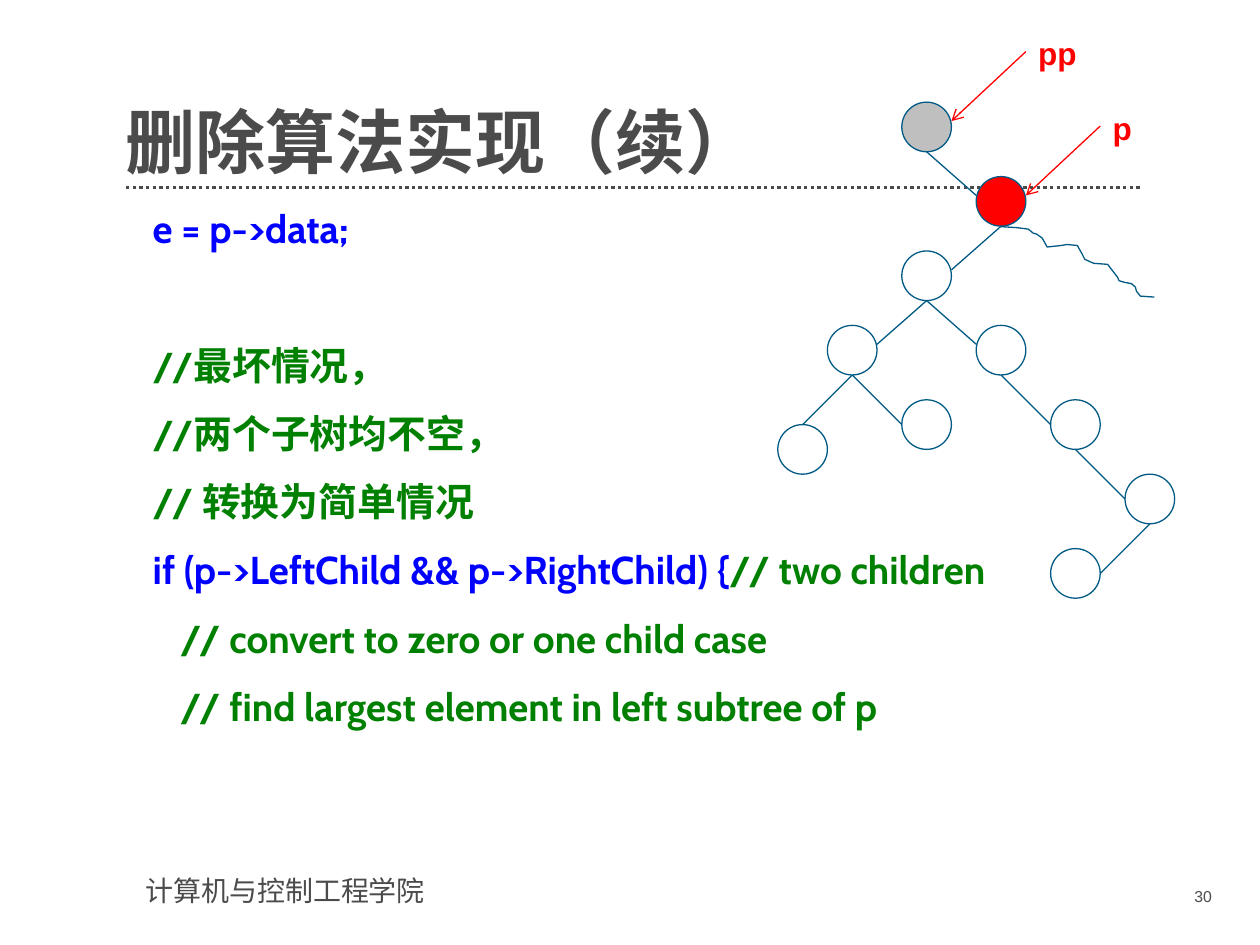
from dataclasses import dataclass
from typing import NamedTuple

from pptx import Presentation
from pptx.dml.color import RGBColor as Rgb
from pptx.enum.dml import MSO_LINE_DASH_STYLE as Dash
from pptx.enum.shapes import MSO_CONNECTOR as Connector, MSO_SHAPE as Preset
from pptx.enum.text import MSO_ANCHOR as Anchor, PP_ALIGN as Align
from pptx.oxml.ns import qn
from pptx.util import Cm, Pt
from lxml.etree import SubElement


@dataclass(frozen=True)
class Theme:
    ink: str = "4B4B4B"
    code: str = "0000FF"
    comment: str = "008000"
    outline: str = "005A84"
    marked: str = "FF0000"
    parent: str = "BFBFBF"
    plain_font: str = "Arial"
    code_font: str = "Cabin"
    title_font: str = "Noto Sans CJK SC"
    title_size: float = 40
    code_size: float = 22.2
    label_size: float = 18
    footer_size: float = 16
    number_size: float = 9


class Box(NamedTuple):
    left: float
    top: float
    width: float
    height: float


class Run(NamedTuple):
    text: str
    color: str


class Line(NamedTuple):
    runs: list[Run]
    indent: float = 0.54
    space_before: float = 15


class Node(NamedTuple):
    column: float
    row: float
    fill: str | None = None

    def point(self, across: float, down: float) -> tuple[float, float]:
        return (ORIGIN[0] + self.column * STEP + across * DIAMETER,
                ORIGIN[1] + self.row * STEP + down * DIAMETER)


class Edge(NamedTuple):
    parent: str
    child: str
    entry: tuple[float, float]


class Pointer(NamedTuple):
    text: str
    node: str


THEME = Theme()
ORIGIN = (16.68, 2.06)
STEP = 0.5
DIAMETER = 1.0
NODES = {
    "parent": Node(3, 0, THEME.parent),
    "deleted": Node(6, 3, THEME.marked),
    "left": Node(3, 6),
    "left left": Node(0, 9),
    "left right": Node(6, 9),
    "outer leaf": Node(-2, 13),
    "inner leaf": Node(3, 12),
    "right": Node(9, 12),
    "largest": Node(12, 15),
    "largest child": Node(9, 18),
}
EDGES = [
    Edge("parent", "deleted", (0, 0.38)),
    Edge("deleted", "left", (1, 0.38)),
    Edge("left", "left left", (1, 0.38)),
    Edge("left", "left right", (0, 0.38)),
    Edge("left left", "outer leaf", (0.5, 0)),
    Edge("left left", "inner leaf", (0, 0.5)),
    Edge("left right", "right", (0, 0.5)),
    Edge("right", "largest", (0, 0.5)),
    Edge("largest", "largest child", (1, 0.5)),
]
POINTERS = [Pointer("pp", "parent"), Pointer("p", "deleted")]
SUBTREE_CURVE = [
    (20.18, 4.57), (20.5, 4.59), (20.73, 4.62), (20.83, 4.7), (20.9, 4.72),
    (21.01, 4.8), (21.11, 4.98), (21.39, 4.95), (21.51, 4.93), (21.72, 4.95),
    (21.82, 5.13), (21.87, 5.23), (22.05, 5.31), (22.33, 5.33), (22.53, 5.59),
    (22.56, 5.66), (22.66, 5.69), (22.81, 5.72), (22.89, 5.79), (22.91, 5.87),
    (22.99, 5.97), (23.27, 5.99),
]
CODE = [
    Line([Run("e = p->data;", THEME.code)], space_before=0),
    Line([Run("//最坏情况，", THEME.comment)], space_before=54),
    Line([Run("//两个子树均不空，", THEME.comment)]),
    Line([Run("// 转换为简单情况", THEME.comment)]),
    Line([Run("if (p->LeftChild && p->RightChild) {", THEME.code),
          Run("// two children", THEME.comment)]),
    Line([Run("// convert to zero or one child case", THEME.comment)], indent=1.09),
    Line([Run("// find largest element in left subtree of p", THEME.comment)], indent=1.09),
]


def add_text_box(slide, box: Box, inset: tuple[float, float] = (0.25, 0.13), anchor=Anchor.TOP):
    frame = slide.shapes.add_textbox(*map(Cm, box)).text_frame
    frame.word_wrap = True
    frame.vertical_anchor = anchor
    frame.margin_left = frame.margin_right = Cm(inset[0])
    frame.margin_top = frame.margin_bottom = Cm(inset[1])
    return frame


def add_run(paragraph, text: str, *, color: str, size: float, font: str, bold: bool = False) -> None:
    run = paragraph.add_run()
    run.text = text
    run.font.name = font
    run.font.size = Pt(size)
    run.font.bold = bold
    run.font.color.rgb = Rgb.from_string(color)


def add_label(slide, box: Box, text: str, *, align=Align.LEFT, **format) -> None:
    paragraph = add_text_box(slide, box).paragraphs[0]
    paragraph.alignment = align
    add_run(paragraph, text, **format)


def add_title(slide, text: str) -> None:
    frame = add_text_box(slide, Box(2.54, 1.4, 20.47, 2.31), (0, 0), Anchor.BOTTOM)
    paragraph = frame.paragraphs[0]
    paragraph.line_spacing = 0.9
    add_run(paragraph, text, color=THEME.ink, size=THEME.title_size, font=THEME.title_font, bold=True)


def add_code(slide, lines: list[Line]) -> None:
    frame = add_text_box(slide, Box(2.54, 4.24, 20.47, 12.7), (0, 0))
    for index, line in enumerate(lines):
        paragraph = frame.add_paragraph() if index else frame.paragraphs[0]
        paragraph.line_spacing = 0.9
        paragraph.space_before = Pt(line.space_before)
        paragraph._p.get_or_add_pPr().set("marL", str(Cm(line.indent)))
        for run in line.runs:
            add_run(paragraph, run.text, color=run.color, size=THEME.code_size,
                    font=THEME.code_font, bold=True)


def add_line(slide, start: tuple[float, float], end: tuple[float, float], *,
             color: str, width: float = 0.75, dash=None, arrow: bool = False) -> None:
    connector = slide.shapes.add_connector(Connector.STRAIGHT, *map(Cm, start + end))
    connector.line.color.rgb = Rgb.from_string(color)
    connector.line.width = Pt(width)
    if dash:
        connector.line.dash_style = dash
    if arrow:
        SubElement(connector.line._get_or_add_ln(), qn("a:tailEnd"), type="arrow")
    SubElement(connector._element.spPr, qn("a:effectLst"))


def style_outline(shape, fill: str | None = None) -> None:
    shape.shadow.inherit = False
    if fill:
        shape.fill.solid()
        shape.fill.fore_color.rgb = Rgb.from_string(fill)
    else:
        shape.fill.background()
    shape.line.color.rgb = Rgb.from_string(THEME.outline)
    shape.line.width = Pt(0.75)


def add_tree(slide) -> None:
    for node in NODES.values():
        box = Box(*node.point(0, 0), DIAMETER, DIAMETER)
        style_outline(slide.shapes.add_shape(Preset.OVAL, *map(Cm, box)), node.fill)
    for edge in EDGES:
        add_line(slide, NODES[edge.parent].point(0.5, 1), NODES[edge.child].point(*edge.entry),
                 color=THEME.outline)
    start, *rest = [(Cm(x), Cm(y)) for x, y in SUBTREE_CURVE]
    builder = slide.shapes.build_freeform(*start)
    builder.add_line_segments(rest, close=False)
    style_outline(builder.convert_to_shape())


def add_pointer(slide, pointer: Pointer) -> None:
    tip = NODES[pointer.node].point(1, 0.38)
    tail = (tip[0] + 1.5, tip[1] - 1.4)
    add_line(slide, tail, tip, color=THEME.marked, arrow=True)
    add_label(slide, Box(tail[0], tail[1] - 0.48, 1.5, 1.02), pointer.text,
              color=THEME.marked, size=THEME.label_size, font=THEME.plain_font, bold=True)


def main() -> None:
    """Build the tree deletion slide and save it."""
    presentation = Presentation()
    presentation.slide_width, presentation.slide_height = Cm(25.4), Cm(19.05)
    slide = presentation.slides.add_slide(presentation.slide_layouts[6])
    add_line(slide, (2.54, 3.78), (23.01, 3.78), color=THEME.ink, width=1.9, dash=Dash.ROUND_DOT)
    add_label(slide, Box(2.69, 17.48, 7.01, 0.94), "计算机与控制工程学院",
              color=THEME.ink, size=THEME.footer_size, font=THEME.plain_font)
    add_title(slide, "删除算法实现（续）")
    add_code(slide, CODE)
    add_tree(slide)
    for pointer in POINTERS:
        add_pointer(slide, pointer)
    add_label(slide, Box(22.17, 17.75, 2.51, 0.74), "30", align=Align.RIGHT,
              color=THEME.ink, size=THEME.number_size, font=THEME.plain_font)
    presentation.save("out.pptx")


if __name__ == "__main__":
    main()
